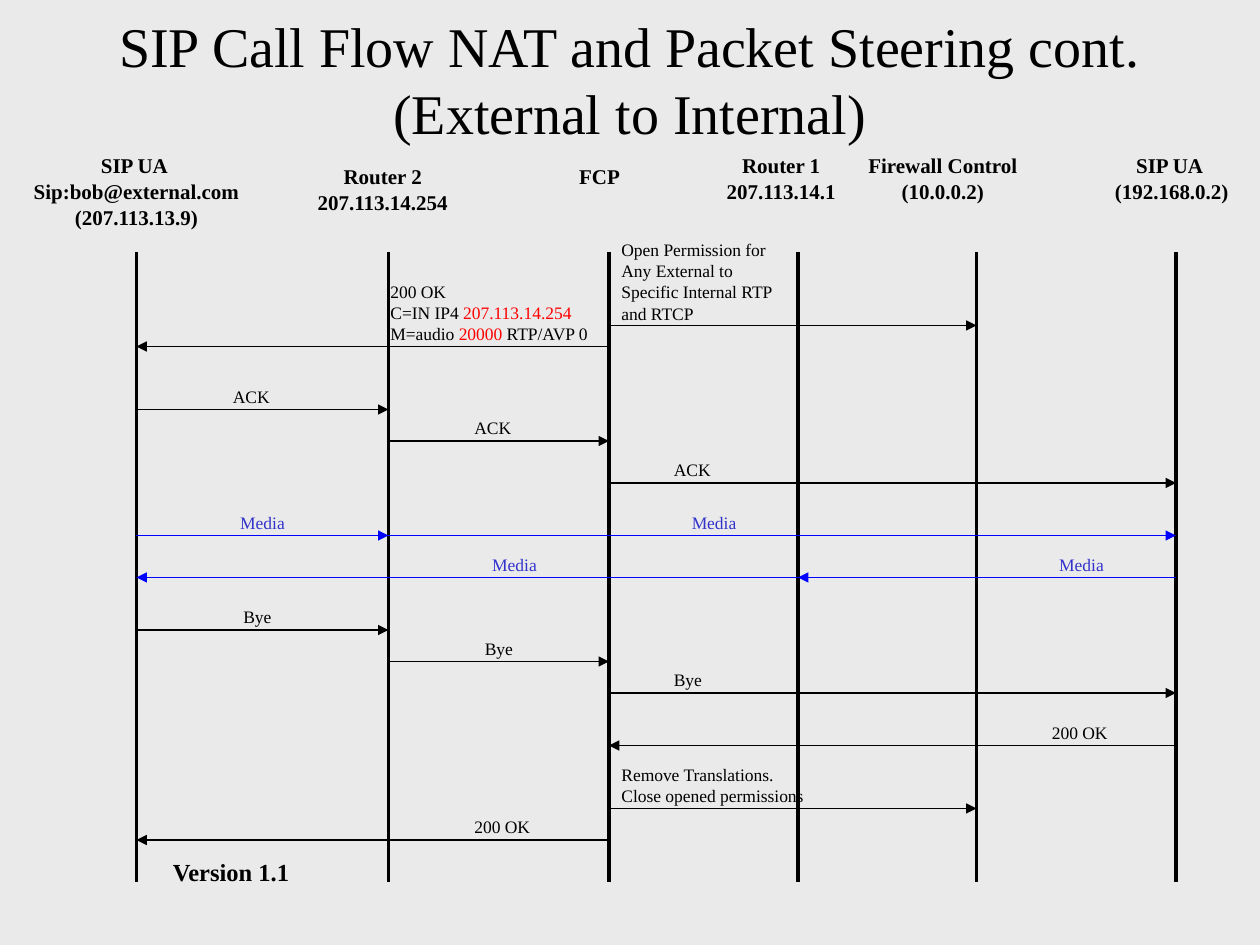
from lxml import etree
from pptx import Presentation
from pptx.dml.color import RGBColor
from pptx.enum.shapes import MSO_CONNECTOR
from pptx.enum.text import MSO_ANCHOR, MSO_AUTO_SIZE, PP_ALIGN
from pptx.oxml.ns import qn
from pptx.util import Inches, Pt

STRAIGHT = MSO_CONNECTOR.STRAIGHT
MIDDLE, TOP = MSO_ANCHOR.MIDDLE, MSO_ANCHOR.TOP
GROW, FIXED = MSO_AUTO_SIZE.SHAPE_TO_FIT_TEXT, MSO_AUTO_SIZE.NONE
LEFT, CENTER = PP_ALIGN.LEFT, PP_ALIGN.CENTER

FONT = "Times New Roman"
COLORS = {"background": "EAEAEA", "black": "000000", "highlight": "FF0000",
          "media_line": "0000FF", "media_text": "3333CC"}
GRID = 1 / 12
FIRST_ROW, LAST_ROW = 24, 84

LIFELINES = {"caller": 13, "router2": 37, "fcp": 58,
             "router1": 76, "firewall": 93, "callee": 112}

HEADINGS = [
    (13, 15, 23, ["SIP UA ", "Sip:bob@external.com", "(207.113.13.9)"]),
    (36.45, 16, 16, ["Router 2", "207.113.14.254"]),
    (57.1, 16, 8, ["FCP"]),
    (74.4, 15, 14, ["Router 1", "207.113.14.1"]),
    (89.8, 15, 18, ["Firewall Control", "(10.0.0.2)"]),
    (111.6, 15, 14, ["SIP UA ", "(192.168.0.2)"]),
]

LABEL_WIDTHS = {"ACK": 6.2, "Media": 8, "Bye": 6, "200 OK": 8.5}

MESSAGES = [
    (39, "caller", "router2", "ACK", 21),
    (42, "router2", "fcp", "ACK", 44),
    (46, "fcp", "callee", "ACK", 63),
    (51, "caller", "router2", "Media", 21),
    (51, "router2", "callee", "Media", 64),
    (55, "router1", "caller", "Media", 45),
    (55, "callee", "router1", "Media", 99),
    (60, "caller", "router2", "Bye", 22),
    (63, "router2", "fcp", "Bye", 45),
    (66, "fcp", "callee", "Bye", 63),
    (71, "callee", "fcp", "200 OK", 99),
    (80, "fcp", "caller", "200 OK", 44),
]

NOTES = [
    (31, "fcp", "firewall", 58, 23,
     ["Open Permission for ", "Any External to ",
      "Specific Internal RTP ", "and RTCP"]),
    (33, "fcp", "caller", 36, 27,
     ["200 OK", "C=IN IP4 |207.113.14.254", "M=audio |20000| RTP/AVP 0"]),
    (77, "fcp", "firewall", 58, 73,
     ["Remove Translations.", "Close opened permissions"]),
]
NOTE_WIDTH = 22


def units(count):
    return Inches(count * GRID)


def rgb(name):
    return RGBColor.from_string(COLORS[name])


def add_line(slide, start, end, color="black", width=0.74, arrow=True):
    line = slide.shapes.add_connector(
        STRAIGHT, *(units(value) for value in (*start, *end)))
    line.line.color.rgb = rgb(color)
    line.line.width = Pt(width)
    if arrow:
        etree.SubElement(line.line._get_or_add_ln(), qn("a:tailEnd"), type="triangle")
    etree.SubElement(line._element.spPr, qn("a:effectLst"))


def add_text(slide, box, lines, size, color="black", bold=False, align=LEFT,
             spacing=None, before=0, anchor=TOP, fit=GROW):
    shape = slide.shapes.add_textbox(*(units(value) for value in box))
    frame = shape.text_frame
    frame.word_wrap = True
    frame.auto_size = fit
    frame.vertical_anchor = anchor
    for index, line in enumerate(lines):
        paragraph = frame.paragraphs[0] if index == 0 else frame.add_paragraph()
        paragraph.alignment = align
        paragraph.line_spacing = spacing
        paragraph.space_before = Pt(before)
        for part, text in enumerate(line.split("|")):
            run = paragraph.add_run()
            run.text = text
            run.font.name = FONT
            run.font.size = Pt(size)
            run.font.bold = bold
            run.font.color.rgb = rgb("highlight" if part % 2 else color)


def add_heading(slide, center, top, width, lines):
    height = 2.4 + 2.45 * (len(lines) - 1)
    add_text(slide, (center - width / 2, top, width, height), lines, 12,
             bold=True, align=CENTER, spacing=0.5, before=7.5)


def add_label(slide, left, top, width, lines, **style):
    height = 2.25 + 2.04 * (len(lines) - 1)
    add_text(slide, (left, top, width, height), lines, 10,
             spacing=0.5, before=6.2, **style)


def add_arrow(slide, row, sender, receiver, color="black"):
    add_line(slide, (LIFELINES[sender], row), (LIFELINES[receiver], row), color)


def add_message(slide, row, sender, receiver, text, left):
    media = text == "Media"
    add_arrow(slide, row, sender, receiver, "media_line" if media else "black")
    add_label(slide, left, row - 2, LABEL_WIDTHS[text], [text],
              color="media_text" if media else "black",
              align=CENTER if media else LEFT)


def add_note(slide, row, sender, receiver, left, top, lines):
    add_arrow(slide, row, sender, receiver)
    add_label(slide, left, top, NOTE_WIDTH, lines)


def main():
    presentation = Presentation()
    presentation.slide_width = Inches(10)
    presentation.slide_height = Inches(7.5)
    slide = presentation.slides.add_slide(presentation.slide_layouts[6])
    slide.background.fill.solid()
    slide.background.fill.fore_color.rgb = rgb("background")

    add_text(slide, (0, 0, 120, 15),
             ["SIP Call Flow NAT and Packet Steering cont.",
              "(External to Internal)"],
             32, align=CENTER, anchor=MIDDLE, fit=FIXED)
    for column in LIFELINES.values():
        add_line(slide, (column, FIRST_ROW), (column, LAST_ROW),
                 width=2.24, arrow=False)
    for heading in HEADINGS:
        add_heading(slide, *heading)
    for note in NOTES:
        add_note(slide, *note)
    for message in MESSAGES:
        add_message(slide, *message)
    add_text(slide, (3, 81, 38, 6), ["Version 1.1"], 14, bold=True,
             align=CENTER, before=8.8, fit=FIXED)
    presentation.save("out.pptx")


main()
